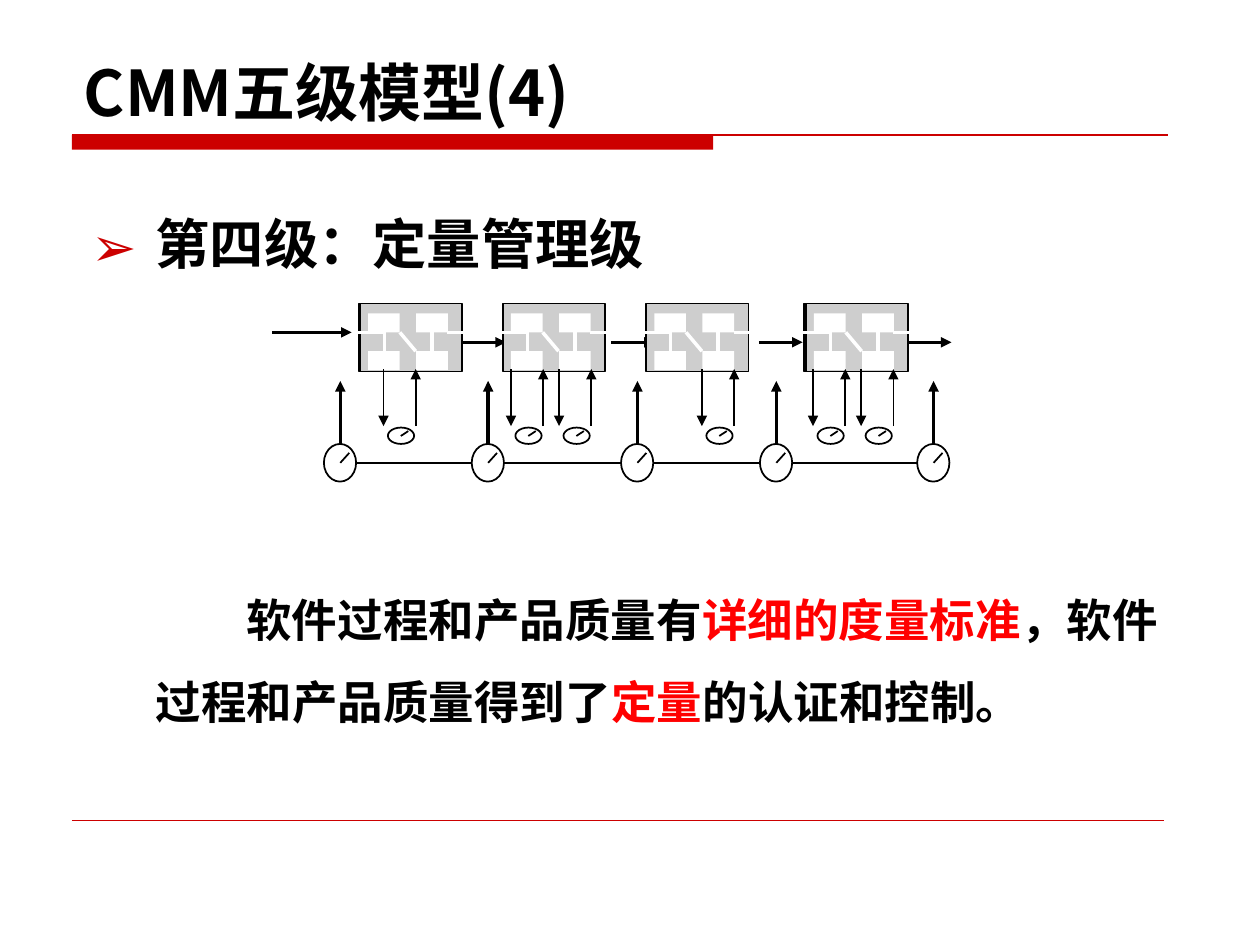
"""Build the slide on level four of the CMM model, with its measured process chain."""
from lxml.etree import SubElement
from pptx import Presentation
from pptx.dml.color import RGBColor
from pptx.enum.shapes import MSO_CONNECTOR, MSO_SHAPE
from pptx.enum.text import MSO_ANCHOR
from pptx.oxml.ns import qn
from pptx.util import Cm, Pt

BLACK = RGBColor(0x00, 0x00, 0x00)
WHITE = RGBColor(0xFF, 0xFF, 0xFF)
GREY = RGBColor(0xCE, 0xCE, 0xCE)
CRIMSON = RGBColor(0xCC, 0x00, 0x00)
RED = RGBColor(0xFF, 0x00, 0x00)
FONT = "Noto Sans CJK SC"
LINE = "line"
RECTANGLE = MSO_SHAPE.RECTANGLE
OVAL = MSO_SHAPE.OVAL


def write(para, text, size=26, color=BLACK):
    span = para.add_run()
    span.text = text
    span.font.size = Pt(size)
    span.font.bold = True
    span.font.color.rgb = color
    span.font.name = FONT
    SubElement(span._r.get_or_add_rPr(), qn("a:ea"), typeface=FONT)


def draw(parent, kind, left, top, width, height, fill=None, line=None, weight=1, arrow=False):
    if kind == LINE:
        ends = Cm(left), Cm(top), Cm(left + width), Cm(top + height)
        item = parent.add_connector(MSO_CONNECTOR.STRAIGHT, *ends)
    else:
        item = parent.add_shape(kind, Cm(left), Cm(top), Cm(width), Cm(height))
        item.shadow.inherit = False
        item.fill.solid()
        item.fill.fore_color.rgb = fill
    if line is None:
        item.line.fill.background()
    else:
        item.line.color.rgb = line
        item.line.width = Pt(weight)
    if arrow:
        SubElement(item.line._get_or_add_ln(), qn("a:tailEnd"), type="triangle")
    if kind == LINE:
        SubElement(item._element.spPr, qn("a:effectLst"))


deck = Presentation()
deck.slide_width = Cm(25.4)
deck.slide_height = Cm(19.05)
page = deck.slides.add_slide(deck.slide_layouts[6])

draw(page.shapes, RECTANGLE, 1.45, 2.72, 12.93, 0.3, fill=CRIMSON)
draw(page.shapes, LINE, 1.45, 2.72, 22.1, 0, line=CRIMSON, weight=0.75)
draw(page.shapes, LINE, 1.45, 16.53, 22.02, 0, line=CRIMSON, weight=0.25)

title = page.shapes.add_textbox(Cm(1.44), Cm(0.72), Cm(22.23), Cm(2)).text_frame
title.word_wrap = True
title.vertical_anchor = MSO_ANCHOR.BOTTOM
write(title.paragraphs[0], "CMM五级模型(4)", size=36)

body = page.shapes.add_textbox(Cm(1.59), Cm(3.45), Cm(22.86), Cm(13.77)).text_frame
body.word_wrap = True
body.margin_top = Cm(0.79)
body.margin_right = Cm(0.5)

heading = body.paragraphs[0]
write(heading, "第四级：定量管理级", size=31)
heading_format = heading._p.get_or_add_pPr()
heading_format.set("marL", str(Cm(1.3)))
heading_format.set("indent", str(Cm(-1.3)))
SubElement(SubElement(heading_format, qn("a:buClr")), qn("a:srgbClr"), val=str(CRIMSON))
SubElement(heading_format, qn("a:buFont"), typeface=FONT)
SubElement(heading_format, qn("a:buChar"), char="➢")

summary = body.add_paragraph()
summary.line_spacing = 1.5
summary.space_before = Pt(165.5)
summary_format = summary._p.get_or_add_pPr()
summary_format.set("marL", str(Cm(1.3)))
summary_format.set("indent", str(Cm(1.83)))
for text, color in [
    ("软件过程和产品质量有", BLACK),
    ("详细的度量标准", RED),
    ("，软件过程和产品质量得到了", BLACK),
    ("定量", RED),
    ("的认证和控制。", BLACK),
]:
    write(summary, text, color=color)

diagram = page.shapes.add_group_shape().shapes

draw(diagram, LINE, 5.49, 6.7, 1.6, 0, line=BLACK, weight=2, arrow=True)
for left in (9.32, 12.32, 15.3, 18.3):
    draw(diagram, LINE, left, 6.9, 0.88, 0, line=BLACK, weight=2, arrow=True)
for left in (7.24, 16.21):
    draw(diagram, RECTANGLE, left, 6.12, 2.06, 1.37, fill=GREY, line=BLACK)

large_gauges = (6.86, 9.84, 12.85, 15.65, 18.82)
for center in large_gauges:
    draw(diagram, LINE, center, 9.33, 0, -1.65, line=BLACK, weight=2, arrow=True)
draw(diagram, LINE, large_gauges[0], 9.33, large_gauges[-1] - large_gauges[0], 0, line=BLACK)
for center in large_gauges:
    draw(diagram, OVAL, center - 0.33, 8.95, 0.65, 0.76, fill=WHITE, line=BLACK)
    draw(diagram, LINE, center, 9.33, 0.18, -0.2, line=BLACK)

module_links = [
    (-0.15, 6.7, 0.64, 0),
    (0.49, 6.7, 0, 0.38),
    (0.8, 6.7, 0.32, 0.38),
    (1.45, 7.08, 0, -0.38),
    (1.76, 6.7, 0.33, 0),
]
for left in (7.26, 10.14, 13.03, 16.25):
    draw(diagram, RECTANGLE, left, 6.12, 2.06, 1.37, fill=GREY, line=BLACK)
    for offset in (0.16, 1.13):
        for top in (6.32, 7.08):
            draw(diagram, RECTANGLE, left + offset, top, 0.64, 0.38, fill=WHITE)
    for offset, top, width, height in module_links:
        draw(diagram, LINE, left + offset, top, width, height, line=WHITE, weight=2)

for center in (8.08, 10.65, 11.62, 14.5, 16.74, 17.71):
    draw(diagram, OVAL, center - 0.26, 8.62, 0.53, 0.33, fill=WHITE, line=BLACK)
    draw(diagram, LINE, center, 8.79, 0.15, -0.1, line=BLACK)
    draw(diagram, LINE, center - 0.35, 7.44, 0, 1.15, line=BLACK, arrow=True)
    draw(diagram, LINE, center + 0.3, 8.59, 0, -1.15, line=BLACK, arrow=True)

deck.save("out.pptx")
